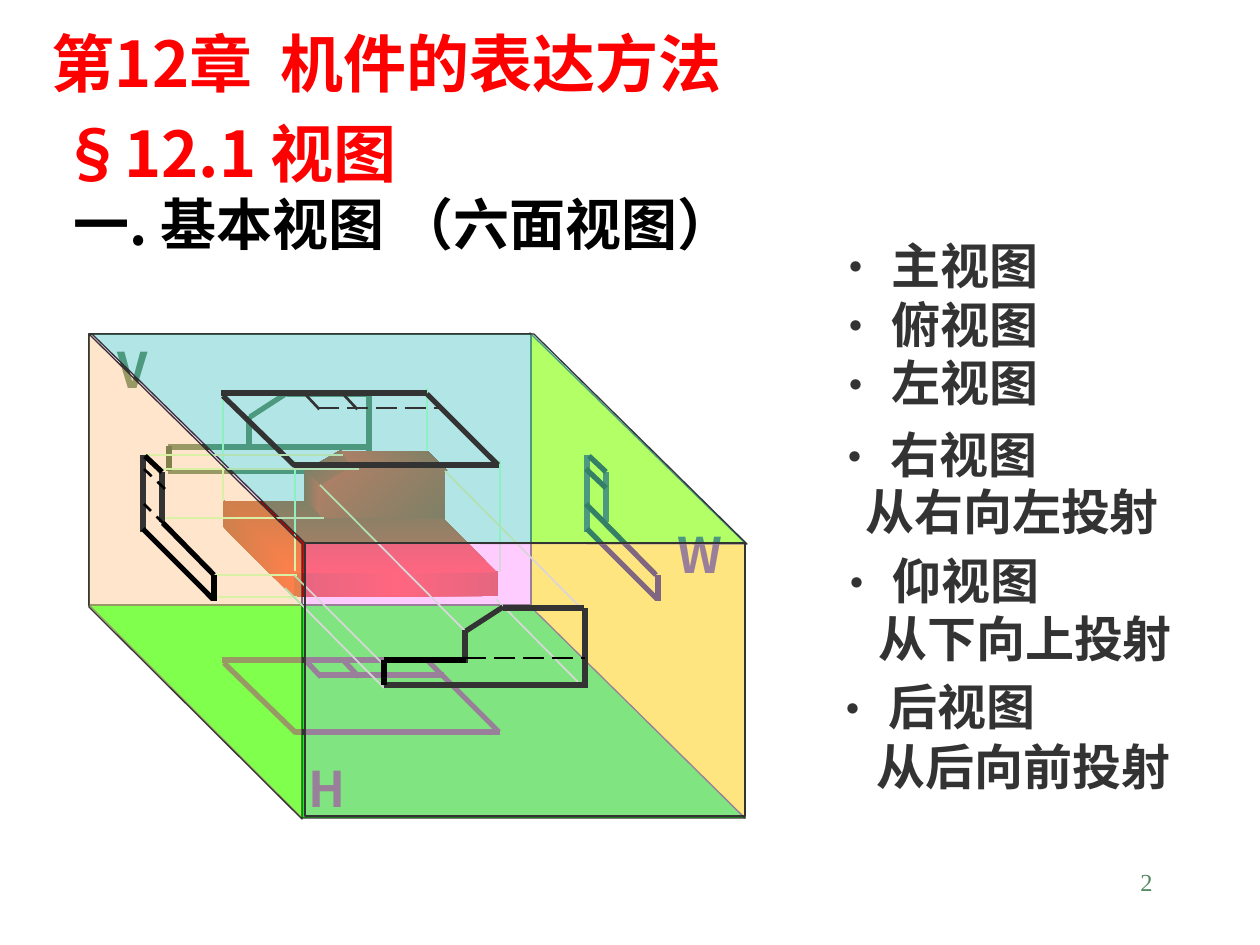
"""Build the slide on the six basic views of a part inside its projection box."""
from lxml.etree import SubElement
from pptx import Presentation
from pptx.dml.color import RGBColor
from pptx.enum.dml import MSO_LINE
from pptx.enum.shapes import MSO_CONNECTOR, MSO_SHAPE
from pptx.enum.text import MSO_ANCHOR, PP_ALIGN
from pptx.oxml.ns import qn
from pptx.util import Pt

PX = 914400 / 126
SANS, SERIF = "Noto Sans CJK SC", "Times New Roman"
RED = RGBColor(0xFF, 0, 0)
BLACK = RGBColor(0, 0, 0)
DARK = RGBColor(0x33, 0x33, 0x33)
SAGE = RGBColor(0x57, 0x89, 0x63)
MINT = RGBColor(0xB3, 0xE1, 0xB3)
GREEN = RGBColor(0, 0xFF, 0)
YELLOW = RGBColor(0xFF, 0xFF, 0)
PINK = RGBColor(0xFF, 0xCC, 0xFF)
AQUA = RGBColor(0x66, 0xFF, 0xCC)
CREAM = RGBColor(0xFF, 0xFF, 0x99)

TITLE = "第12章  机件的表达方法"
HEADS = [("§12.1 视图", 36, RED, 0), (" 一. 基本视图 （六面视图）".strip(), 32, BLACK, 12)]
VIEWS = [
    (["右视图"], (818, 418, 244, 72)),
    (["主视图", "俯视图", "左视图"], (819, 229, 244, 189)),
    (["后视图"], (816, 670, 272, 72)),
    (["仰视图"], (820, 544, 252, 72)),
]
NOTES = [
    ("从右向左投射", (853, 475, 384, 72)),
    ("从下向上投射", (866, 602, 362, 72)),
    ("从后向前投射", (864, 730, 374, 72)),
]
LABELS = [("V", (105, 333, 50, 72)), ("W", (664, 518, 72, 72)), ("H", (296, 752, 53, 72))]

FLOOR = [(89, 605), (530, 605), (745, 818), (302, 818)]
RIGHT = [(530, 606), (745, 818), (745, 543), (530, 333)]
TOP = [(92, 334), (534, 334), (747, 544), (305, 543)]
LEFT = [(89, 607), (302, 819), (302, 544), (89, 334)]
BACK, FRONT = (89, 334, 442, 271), (305, 543, 440, 273)

SOLID = [
    ([(294, 572), (498, 571), (498, 596), (294, 597)], ["CC0000", "FF0000", "CC0000"], 0),
    ([(223, 499), (223, 527), (294, 597), (295, 572)], ["9B0000", "FF0000"], 0),
    ([(304, 467), (304, 503), (321, 519), (321, 485)], ["900000", "FF0000"], 0),
    ([(306, 470), (341, 450), (357, 467), (321, 485)], ["760000", "FF0000"], 45),
    ([(341, 451), (428, 451), (447, 470), (355, 470)], ["FF0000", "900000"], 315),
    ([(321, 485), (321, 519), (445, 520), (445, 466), (355, 466)], ["FF0000", "960000"], 45),
    ([(306, 501), (323, 519), (444, 519), (496, 572), (295, 573), (224, 501)],
     ["A00000", "FF0000"], 90),
]

PLAN = [(222, 660, 428, 660), (295, 732, 500, 732), (428, 661, 499, 732), (224, 663, 296, 733)]
PLAN_IN = [(319, 675, 444, 675), (344, 661, 359, 677), (306, 661, 321, 677)]
SIDE = [(587, 455, 587, 532), (606, 472, 606, 522)]
SIDE_EDGE = [(589, 456, 606, 472), (658, 601, 658, 575), (587, 529, 657, 599)]
SIDE_IN = [(586, 504, 656, 575), (586, 469, 606, 488)]
END_EDGE = [(163, 523, 214, 575)]
END_IN = [(164, 524, 144, 504), (165, 489, 144, 469)]
FACE = [(249, 449, 249, 416), (250, 417, 287, 393), (372, 471, 168, 471),
        (369, 471, 369, 394), (368, 394, 287, 394)]
FACE_EDGE = [(169, 446, 169, 471)]
FACE_STEP = [(168, 447, 372, 447)]
REAR_STEP = [(384, 660, 466, 660)]
REAR_IN = [(465, 658, 585, 658)]
RAYS_UP = [(223, 501, 223, 392), (295, 571, 295, 460), (500, 572, 500, 460),
           (427, 450, 427, 388)]
RAYS_LEFT = [(297, 597, 212, 597), (297, 575, 214, 575), (343, 455, 144, 455),
             (359, 469, 160, 469), (324, 518, 160, 518)]
RAYS_FRONT = [(496, 599, 578, 682), (285, 588, 384, 688), (294, 575, 384, 665),
              (445, 471, 583, 610), (320, 485, 467, 633)]


def emu(*nums):
    return [round(n * PX) for n in nums]


def shift(segs, dx, dy):
    return [(a + dx, b + dy, c + dx, d + dy) for a, b, c, d in segs]


def style(para, size, color, face=SANS, inset=0, bullet=False):
    props = para._p.get_or_add_pPr()
    if inset:
        props.set("marL", str(emu(inset)[0]))
    if bullet:
        props.set("indent", str(-emu(inset)[0]))
        SubElement(props, qn("a:buFont")).set("typeface", face)
        SubElement(props, qn("a:buChar")).set("char", "•")
    font = para.font
    font.size, font.name, font.bold = Pt(size), face, face == SANS
    font.color.rgb = color
    SubElement(props.find(qn("a:defRPr")), qn("a:ea")).set("typeface", face)


def text(slide, lines, box, anchor=MSO_ANCHOR.MIDDLE):
    frame = slide.shapes.add_textbox(*emu(*box)).text_frame
    frame.word_wrap, frame.vertical_anchor = True, anchor
    frame.text = "\n".join(lines)
    return frame.paragraphs


def paint(shape, color, clear=False):
    shape.shadow.inherit = False
    shape.fill.solid()
    shape.fill.fore_color.rgb = color
    if clear:
        tint = shape._element.spPr.find(qn("a:solidFill"))[0]
        SubElement(tint, qn("a:alpha")).set("val", "50000")
    shape.line.color.rgb, shape.line.width = DARK, Pt(0.75)


def poly(slide, pts):
    path = slide.shapes.build_freeform(*pts[0], scale=PX)
    path.add_line_segments(pts[1:], close=True)
    return path.convert_to_shape()


def rect(slide, box):
    return slide.shapes.add_shape(MSO_SHAPE.RECTANGLE, *emu(*box))


def shade(shape, stops, angle):
    shape.shadow.inherit = False
    shape.line.fill.background()
    props = shape._element.spPr
    grad = SubElement(props, qn("a:gradFill"))
    props.find(qn("a:ln")).addprevious(grad)
    items = SubElement(grad, qn("a:gsLst"))
    for i, code in enumerate(stops):
        stop = SubElement(items, qn("a:gs"), pos=str(100000 * i // (len(stops) - 1)))
        SubElement(stop, qn("a:srgbClr")).set("val", code)
    SubElement(grad, qn("a:lin"), ang=str(angle * 60000), scaled="0")


def draw(slide, segs, color=DARK, width=3, dash=None):
    for seg in segs:
        line = slide.shapes.add_connector(MSO_CONNECTOR.STRAIGHT, *emu(*seg))
        line.line.color.rgb, line.line.width = color, Pt(width)
        if dash:
            line.line.dash_style = dash
        SubElement(line._element.spPr, qn("a:effectLst"))


def write(slide):
    title = slide.shapes.title
    title.left, title.top, title.width, title.height = emu(24, 18, 1212, 88)
    frame = title.text_frame
    frame.text, frame.vertical_anchor = TITLE, MSO_ANCHOR.TOP
    frame.margin_left = emu(28)[0]
    para = frame.paragraphs[0]
    para.alignment = PP_ALIGN.LEFT
    style(para, 36, RED)
    para = text(slide, ["2"], (903, 861, 262, 63), MSO_ANCHOR.TOP)[0]
    para.alignment = PP_ALIGN.RIGHT
    style(para, 14, SAGE, SERIF)
    heads = text(slide, [h[0] for h in HEADS], (49, 108, 1211, 155), MSO_ANCHOR.TOP)
    for para, (_, size, color, inset) in zip(heads, HEADS):
        style(para, size, color, inset=inset)
    for names, box in VIEWS:
        for para in text(slide, names, box):
            style(para, 28, DARK, inset=60, bullet=True)
    for note, box in NOTES:
        style(text(slide, [note], box)[0], 28, DARK)


def build(slide):
    paint(poly(slide, FLOOR), GREEN)
    paint(poly(slide, RIGHT), YELLOW)
    paint(rect(slide, BACK), PINK)
    for name, box in LABELS:
        para = text(slide, [name], box)[0]
        para.alignment = PP_ALIGN.CENTER
        style(para, 28, DARK)
    draw(slide, PLAN + PLAN_IN + SIDE)
    draw(slide, SIDE_EDGE + SIDE_IN, BLACK)
    draw(slide, FACE + FACE_STEP)
    draw(slide, FACE_EDGE, BLACK)
    for pts, stops, angle in SOLID:
        shade(poly(slide, pts), stops, angle)
    draw(slide, RAYS_UP, MINT, 1)
    paint(poly(slide, TOP), AQUA, True)
    draw(slide, shift(PLAN, -1, -267))
    draw(slide, shift(PLAN_IN, -1, -267), DARK, 1.5, MSO_LINE.LONG_DASH)
    draw(slide, RAYS_LEFT, MINT, 1)
    paint(poly(slide, LEFT), CREAM, True)
    draw(slide, shift(SIDE, -444, 0))
    draw(slide, shift(SIDE_EDGE, -444, 0) + END_EDGE, BLACK)
    draw(slide, END_IN, BLACK, 1.5, MSO_LINE.DASH)
    draw(slide, RAYS_FRONT, MINT, 1)
    paint(rect(slide, FRONT), PINK, True)
    draw(slide, shift(FACE, 216, 214))
    draw(slide, shift(FACE_EDGE, 215, 214) + REAR_STEP, BLACK)
    draw(slide, REAR_IN, BLACK, 1.5, MSO_LINE.LONG_DASH)


deck = Presentation()
deck.slide_width, deck.slide_height = emu(1260, 945)
page = deck.slides.add_slide(deck.slide_layouts[5])
write(page)
build(page)
deck.save("out.pptx")
